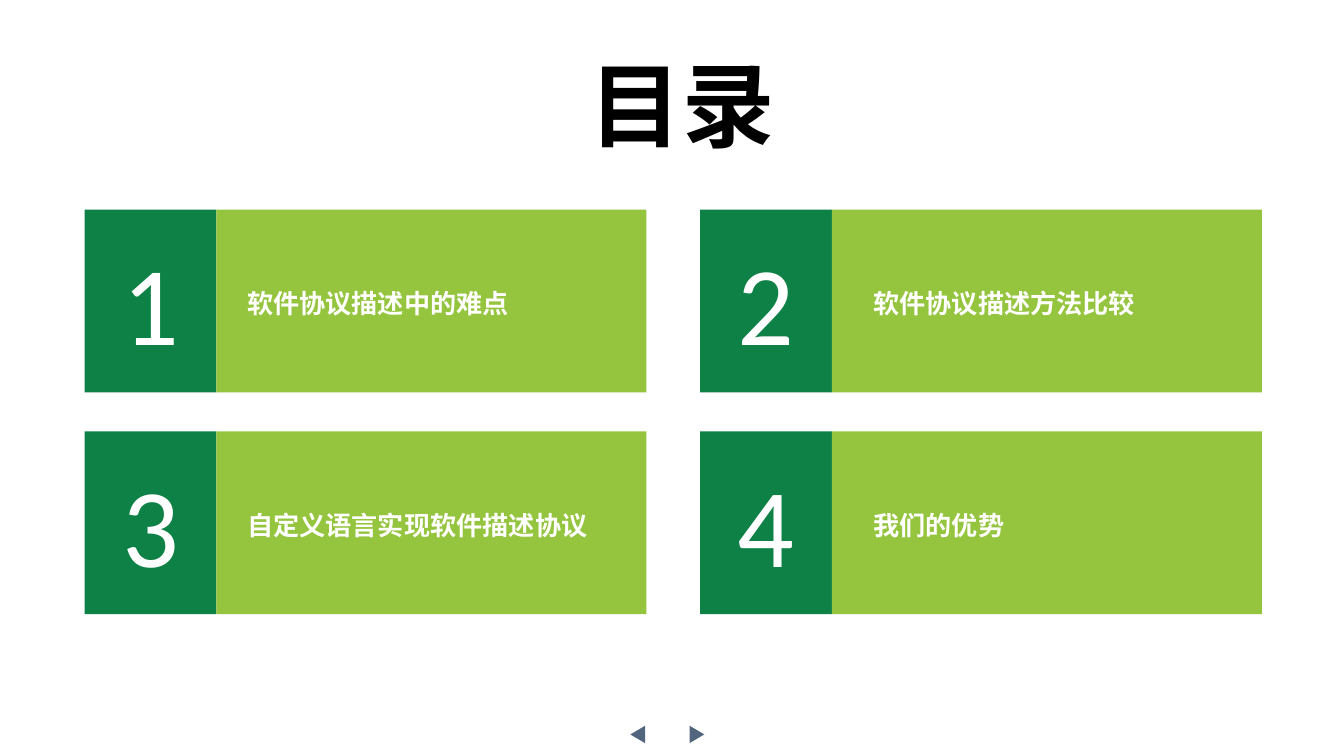
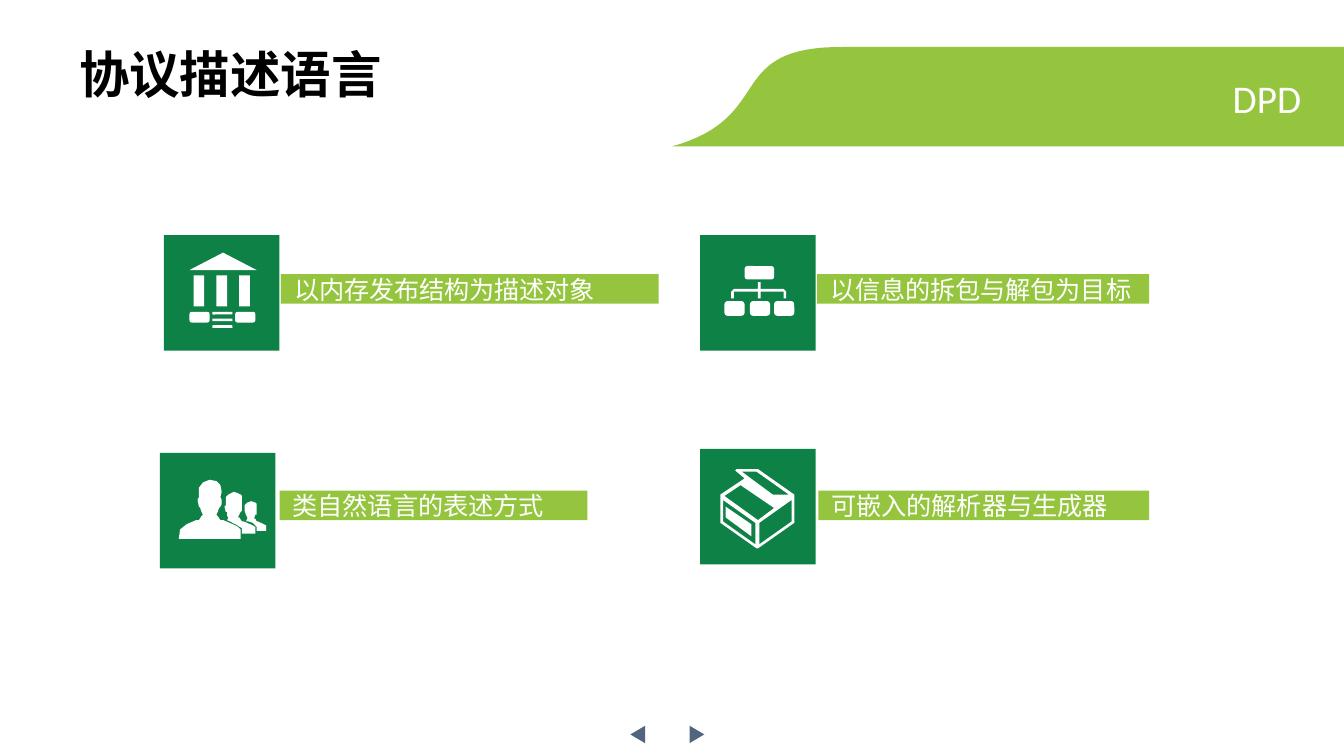
from pptx import Presentation
from pptx.dml.color import RGBColor
from pptx.enum.shapes import MSO_SHAPE as Preset
from pptx.enum.text import MSO_ANCHOR as Anchor, MSO_AUTO_SIZE as AutoSize, PP_ALIGN as Align
from pptx.oxml.ns import qn
from pptx.util import Inches, Pt

# Shared style
DARK, LIGHT, WHITE, BLACK, SLATE = "0E8146", "95C53E", "FFFFFF", "000000", "52657E"
LATIN, CHINESE = "Calibri", "Noto Sans CJK SC"
ARROWS = [(5.12, 90), (4.68, 270)]  # left, rotation

# Contents page: caption, caption left, caption width; filled row by row
CONTENTS = [
    ("软件协议描述中的难点", 1.74, 2.72),
    ("软件协议描述方法比较", 6.4, 2.85),
    ("自定义语言实现软件描述协议", 1.74, 2.95),
    ("我们的优势", 6.4, 2.85),
]

# Language page: caption, tile corner, bar (left, top, width)
FEATURES = [
    ("以内存发布结构为描述对象", (1.22, 1.75), (2.09, 2.04, 2.81)),
    ("以信息的拆包与解包为目标", (5.21, 1.75), (6.08, 2.04, 2.47)),
    ("类自然语言的表述方式", (1.19, 3.37), (2.08, 3.65, 2.29)),
    ("可嵌入的解析器与生成器", (5.21, 3.34), (6.09, 3.65, 2.46)),
]
BAND_CURVE = [(5, 1.09), (5.79, 0.87), (5.37, 0.34), (6.29, 0.35)]

# Icon parts: rectangles are left, top, width, height
ROOF = [(1.41, 2.01), (1.91, 2.01), (1.66, 1.88)]
COLUMNS = [(left, 2.05, 0.08, 0.23) for left in (1.44, 1.61, 1.78)]
PLINTHS = [(left, 2.32, 0.15, 0.08) for left in (1.41, 1.75)]
STEPS = [(1.58, top, 0.15, 0.02) for top in (2.32, 2.37, 2.42)]
NODES = [(5.54, 1.98, 0.22, 0.1)] + [(left, 2.24, 0.15, 0.11) for left in (5.39, 5.58, 5.76)]
BRANCHES = [
    (5.83, 2.15), (5.66, 2.15), (5.66, 2.1), (5.64, 2.1), (5.64, 2.15), (5.46, 2.15),
    (5.44, 2.17), (5.44, 2.22), (5.46, 2.22), (5.46, 2.17), (5.64, 2.17), (5.64, 2.22),
    (5.66, 2.22), (5.66, 2.17), (5.83, 2.17), (5.83, 2.22), (5.85, 2.22), (5.85, 2.17),
]
PEOPLE = [
    [(1.73, 3.9), (1.66, 3.87), (1.64, 3.87), (1.62, 3.84), (1.61, 3.83), (1.62, 3.81),
     (1.63, 3.78), (1.64, 3.77), (1.65, 3.75), (1.65, 3.72), (1.64, 3.7), (1.65, 3.66),
     (1.64, 3.61), (1.63, 3.6), (1.61, 3.58), (1.56, 3.57), (1.51, 3.59), (1.48, 3.63),
     (1.48, 3.7), (1.47, 3.72), (1.48, 3.77), (1.49, 3.78), (1.5, 3.81), (1.51, 3.83),
     (1.5, 3.84), (1.48, 3.87), (1.46, 3.87), (1.39, 3.9), (1.34, 3.94), (1.33, 4.01),
     (1.79, 4.01), (1.79, 3.94), (1.77, 3.92)],
    [(1.86, 3.9), (1.81, 3.88), (1.8, 3.88), (1.78, 3.85), (1.77, 3.85), (1.78, 3.83),
     (1.79, 3.81), (1.8, 3.8), (1.8, 3.77), (1.8, 3.73), (1.8, 3.69), (1.79, 3.68),
     (1.77, 3.67), (1.74, 3.66), (1.7, 3.68), (1.68, 3.7), (1.68, 3.76), (1.67, 3.77),
     (1.68, 3.81), (1.69, 3.81), (1.69, 3.84), (1.7, 3.85), (1.69, 3.87), (1.71, 3.88),
     (1.75, 3.9), (1.8, 3.93), (1.8, 3.97), (1.9, 3.97), (1.9, 3.92)],
    [(1.98, 3.91), (1.92, 3.88), (1.91, 3.88), (1.9, 3.86), (1.89, 3.86), (1.9, 3.83),
     (1.91, 3.83), (1.91, 3.8), (1.91, 3.75), (1.9, 3.74), (1.87, 3.73), (1.84, 3.74),
     (1.82, 3.76), (1.82, 3.8), (1.83, 3.83), (1.84, 3.85), (1.84, 3.86), (1.83, 3.88),
     (1.85, 3.88), (1.88, 3.89), (1.91, 3.92), (1.91, 3.95), (1.98, 3.95)],
]
CARTON = [
    [(5.91, 3.68), (5.64, 3.49), (5.48, 3.49), (5.47, 3.5), (5.54, 3.56), (5.36, 3.68),
     (5.36, 3.89), (5.63, 4.08), (5.64, 4.08), (5.91, 3.89)],
    [(5.52, 3.51), (5.63, 3.51), (5.87, 3.68), (5.75, 3.68)],
    [(5.62, 4.05), (5.38, 3.88), (5.38, 3.72), (5.62, 3.89)],
    [(5.64, 3.87), (5.39, 3.69), (5.51, 3.61), (5.76, 3.78)],
    [(5.89, 3.88), (5.65, 4.05), (5.65, 3.89), (5.89, 3.72)],
    [(5.59, 3.9), (5.4, 3.77), (5.4, 3.85), (5.59, 3.99)],
]


def color(value):
    return RGBColor.from_string(value)


def paint(shape, fill):
    shape.shadow.inherit = False
    shape.fill.solid()
    shape.fill.fore_color.rgb = color(fill)
    shape.line.fill.background()
    return shape


def add_block(page, at, fill, preset=Preset.RECTANGLE):
    return paint(page.shapes.add_shape(preset, *map(Inches, at)), fill)


def add_outline(page, contours, fill):
    scaled = [[(Inches(x), Inches(y)) for x, y in contour] for contour in contours]
    builder = page.shapes.build_freeform(*scaled[0][0])
    for number, contour in enumerate(scaled):
        if number:
            builder.move_to(*contour[0])
        builder.add_line_segments(contour[1:], close=True)
    return paint(builder.convert_to_shape(), fill)


def write(shape, text, size, ink=WHITE, font=LATIN, bold=False, align=Align.LEFT):
    para = shape.text_frame.paragraphs[0]
    para.alignment = align
    span = para.add_run()
    span.text = text
    for name, value in {"size": Pt(size), "name": font, "bold": bold}.items():
        setattr(span.font, name, value)
    span.font.color.rgb = color(ink)
    east_asian = span.font._element.makeelement(qn("a:ea"), {"typeface": CHINESE})
    span.font._element.find(qn("a:latin")).addnext(east_asian)


def add_text(page, at, text, size, wrap=False, **style):
    box = page.shapes.add_textbox(*map(Inches, at))
    frame = {"word_wrap": wrap, "auto_size": AutoSize.SHAPE_TO_FIT_TEXT,
             "vertical_anchor": Anchor.TOP}
    for name, value in frame.items():
        setattr(box.text_frame, name, value)
    write(box, text, size, **style)


def add_page(deck, title, at, size):
    page = deck.slides.add_slide(deck.slide_layouts[6])
    for left, turn in ARROWS:
        add_block(page, (left, 5.41, 0.13, 0.11), SLATE, Preset.ISOSCELES_TRIANGLE).rotation = turn
    add_text(page, at, title, size, ink=BLACK, bold=True)
    return page


def add_contents(deck):
    page = add_page(deck, "目录", (4.29, 0.31, 1.6, 0.93), 49.5)
    for index, (caption, caption_left, width) in enumerate(CONTENTS):
        row, column = divmod(index, 2)
        left, top = 0.63 + 4.58 * column, 1.56 + 1.65 * row
        number = add_block(page, (left, top, 0.98, 1.36), DARK)
        number.text_frame.vertical_anchor = Anchor.MIDDLE
        write(number, str(index + 1), 60, align=Align.CENTER)
        add_block(page, (left + 0.98, top, 3.2, 1.36), LIGHT)
        add_text(page, (caption_left, top + 0.53, width, 0.34), caption, 14,
                 wrap=True, font=CHINESE, bold=True)


def curve_points(start, first, second, end, steps=32):
    for step in range(steps + 1):
        t = step / steps
        weights = ((1 - t) ** 3, 3 * t * (1 - t) ** 2, 3 * t * t * (1 - t), t ** 3)
        yield tuple(sum(w * p for w, p in zip(weights, axis))
                    for axis in zip(start, first, second, end))


def add_language(deck):
    page = add_page(deck, "协议描述语言", (0.49, 0.27, 2.48, 0.56), 27)

    # Curved band with its label
    add_outline(page, [[*curve_points(*BAND_CURVE), (10, 0.35), (10, 1.09)]], LIGHT)
    add_text(page, (9.06, 0.5, 0.72, 0.45), "DPD", 21, align=Align.RIGHT)

    # Tiles and caption bars
    for caption, corner, bar_at in FEATURES:
        add_block(page, (*corner, 0.86, 0.86), DARK)
        bar = add_block(page, (*bar_at, 0.22), LIGHT)
        bar.text_frame.vertical_anchor = Anchor.MIDDLE
        write(bar, caption, 13.5)

    # Icons
    for contours in ([ROOF], [BRANCHES], PEOPLE, CARTON):
        add_outline(page, contours, WHITE)
    for at in COLUMNS:
        add_block(page, at, WHITE)
    for at in PLINTHS + STEPS + NODES:
        add_block(page, at, WHITE, Preset.ROUNDED_RECTANGLE).adjustments[0] = 0.22


def main():
    deck = Presentation()
    # Widescreen, 16:9
    deck.slide_width, deck.slide_height = Inches(10), Inches(10 * 9 / 16)
    add_contents(deck)
    add_language(deck)
    deck.save("out.pptx")


if __name__ == "__main__":
    main()
